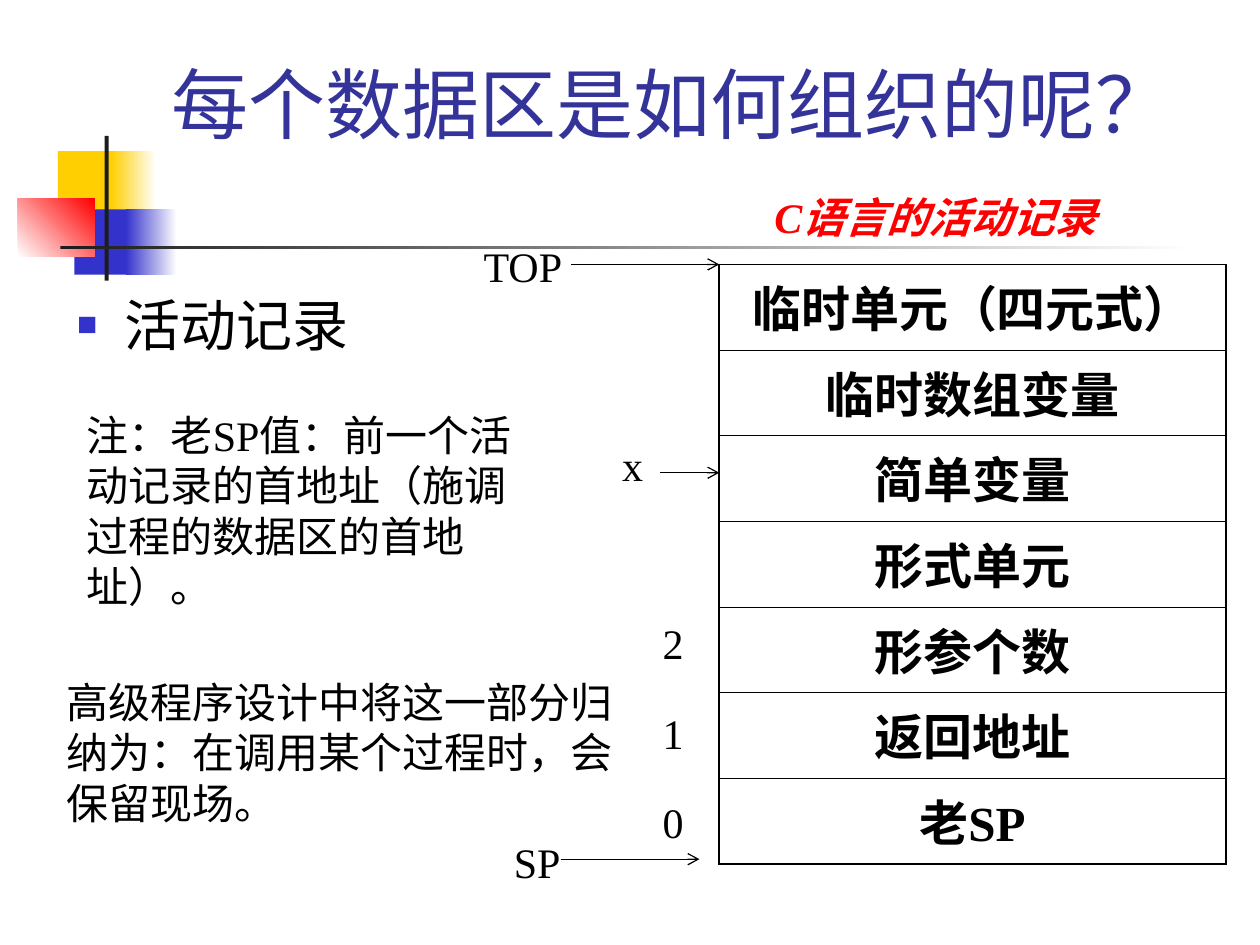
from lxml.etree import SubElement
from pptx import Presentation
from pptx.dml.color import RGBColor
from pptx.enum.shapes import MSO_CONNECTOR as Connector, MSO_SHAPE as Shape
from pptx.enum.text import MSO_ANCHOR as Anchor, MSO_AUTO_SIZE as AutoSize, PP_ALIGN as Align
from pptx.oxml import parse_xml
from pptx.oxml.ns import nsdecls, qn
from pptx.util import Cm, Pt

SANS = "Lato"
SERIF = "Times New Roman"
BLACK = "000000"
RECORD_ROWS = ["临时单元（四元式）", "临时数组变量", "简单变量", "形式单元",
               "形参个数", "返回地址", "老SP"]
RECORD_LEFT, RECORD_TOP, RECORD_WIDTH, ROW_HEIGHT = 14.5, 5.33, 10.21, 1.727


def color(hex_text):
    return RGBColor.from_string(hex_text)


def style(paragraph, size, name=SERIF, hex_text=BLACK, bold=False, italic=False):
    font = paragraph.font
    font.size, font.name, font.bold, font.italic = Pt(size), name, bold, italic
    font.color.rgb = color(hex_text)


def place(shape, left, top, width, height):
    shape.left, shape.top = Cm(left), Cm(top)
    shape.width, shape.height = Cm(width), Cm(height)


def add_block(slide, box, start, end=None, angle=0):
    """Add a borderless rectangle, solid or with a gradient from start to end."""
    shape = slide.shapes.add_shape(Shape.RECTANGLE, *map(Cm, box))
    shape.shadow.inherit = False
    shape.line.fill.background()
    if end is None:
        shape.fill.solid()
        shape.fill.fore_color.rgb = color(start)
        return
    shape.fill.gradient()
    shape.fill.gradient_angle = angle
    for stop, position, hex_text in zip(shape.fill.gradient_stops, (0, 1), (start, end)):
        stop.position = position
        stop.color.rgb = color(hex_text)


def add_decoration(slide):
    add_block(slide, (1.17, 3.05, 1.22, 1.32), "FFCF01")
    add_block(slide, (2.24, 3.05, 0.91, 1.32), "FFCF01", "FFFFFF")
    add_block(slide, (1.5, 4.22, 1.17, 1.32), "3333CC")
    add_block(slide, (2.54, 4.22, 1.02, 1.32), "3333CC", "FFFFFF")
    add_block(slide, (0.36, 4.01, 1.55, 1.17), "FFFFFF", "FF0000", 45)
    add_block(slide, (2.11, 2.74, 0.08, 2.92), "1C1C1C")
    add_block(slide, (1.22, 4.95, 22.86, 0.08), "1C1C1C", "FFFFFF")


def add_bullet(paragraph, character, hex_text, percent):
    properties = paragraph._p.get_or_add_pPr()
    properties.set("marL", str(Cm(0.95)))
    properties.set("indent", str(-Cm(0.95)))
    bullet_color = SubElement(properties, qn("a:buClr"))
    SubElement(bullet_color, qn("a:srgbClr"), val=hex_text)
    SubElement(properties, qn("a:buSzPct"), val=str(percent * 1000))
    SubElement(properties, qn("a:buFont"), typeface="Arial")
    SubElement(properties, qn("a:buChar"), char=character)


def fill_placeholder(slide, shape, text, box):
    """Write one paragraph into a placeholder and bring it to the front."""
    place(shape, *box)
    frame = shape.text_frame
    frame.text = text
    frame.auto_size = AutoSize.NONE
    slide.shapes._spTree.append(shape._element)
    paragraph = frame.paragraphs[0]
    paragraph.alignment = Align.LEFT
    return paragraph


def add_text(slide, text, left, top, width, height=1.27, **look):
    frame = slide.shapes.add_textbox(*map(Cm, (left, top, width, height))).text_frame
    frame.word_wrap = True
    frame.text = text
    style(frame.paragraphs[0], 24, **look)


def add_arrow(slide, start, end, y):
    arrow = slide.shapes.add_connector(Connector.STRAIGHT, Cm(start), Cm(y), Cm(end), Cm(y))
    arrow.line.color.rgb = color(BLACK)
    arrow.line.width = Pt(0.75)
    SubElement(arrow.line._get_or_add_ln(), qn("a:tailEnd"), type="arrow")
    SubElement(arrow._element.spPr, qn("a:effectLst"))


def set_borders(cell, widths):
    """Set the left, right, top and bottom border widths in points."""
    properties = cell._tc.get_or_add_tcPr()
    for index, (side, width) in enumerate(zip("LRTB", widths)):
        properties.insert(index, parse_xml(
            f'<a:ln{side} {nsdecls("a")} w="{Pt(width)}"><a:solidFill>'
            f'<a:srgbClr val="{BLACK}"/></a:solidFill></a:ln{side}>'))


def add_record_table(slide):
    count = len(RECORD_ROWS)
    table = slide.shapes.add_table(count, 1, Cm(RECORD_LEFT), Cm(RECORD_TOP),
                                   Cm(RECORD_WIDTH), Cm(ROW_HEIGHT * count)).table
    table.first_row = table.horz_banding = False
    outer, inner = 1.08, 0.45
    for index, text in enumerate(RECORD_ROWS):
        table.rows[index].height = Cm(ROW_HEIGHT)
        cell = table.cell(index, 0)
        cell.text = text
        cell.fill.background()
        set_borders(cell, (outer, outer, outer if index == 0 else inner,
                           outer if index == count - 1 else inner))
        paragraph = cell.text_frame.paragraphs[0]
        paragraph.alignment = Align.CENTER
        paragraph.space_before = Pt(7)
        style(paragraph, 28, bold=True)


def main():
    presentation = Presentation()
    presentation.slide_width, presentation.slide_height = Cm(25.4), Cm(19.05)
    slide = presentation.slides.add_slide(presentation.slide_layouts[1])
    title, body = slide.shapes.title, slide.placeholders[1]

    add_decoration(slide)
    heading = fill_placeholder(slide, title, "每个数据区是如何组织的呢？", (3.2, 0.58, 21.64, 2.54))
    title.text_frame.vertical_anchor = Anchor.BOTTOM
    style(heading, 44, SANS, "333399")
    item = fill_placeholder(slide, body, "活动记录", (1.3, 5.72, 21.59, 11.43))
    item.space_before = Pt(0)
    add_bullet(item, "■", "3333CC", 60)
    style(item, 32, SANS)

    add_record_table(slide)
    add_text(slide, "C语言的活动记录", 15.36, 3.73, 7.75,
             hex_text="FF0000", bold=True, italic=True)
    add_arrow(slide, 11.51, RECORD_LEFT, RECORD_TOP)
    add_text(slide, "TOP", 9.5, 4.72, 3.4)
    add_arrow(slide, 11.3, 14.1, 17.32)
    add_text(slide, "SP", 10.11, 16.74, 2.21)
    for offset in range(3):
        add_text(slide, str(offset), 13.11, 15.93 - 1.8 * offset, 1.19)
    add_arrow(slide, 13.31, RECORD_LEFT, 9.53)
    add_text(slide, "x", 12.29, 8.74, 1.6)
    add_text(slide, "高级程序设计中将这一部分归纳为：在调用某个过程时，会保留现场。",
             1.09, 13.51, 12.19, 3.3)
    add_text(slide, "注：老SP值：前一个活动记录的首地址（施调过程的数据区的首地址）。",
             1.5, 8.13, 9.8, 4.32)
    presentation.save("out.pptx")


if __name__ == "__main__":
    main()
